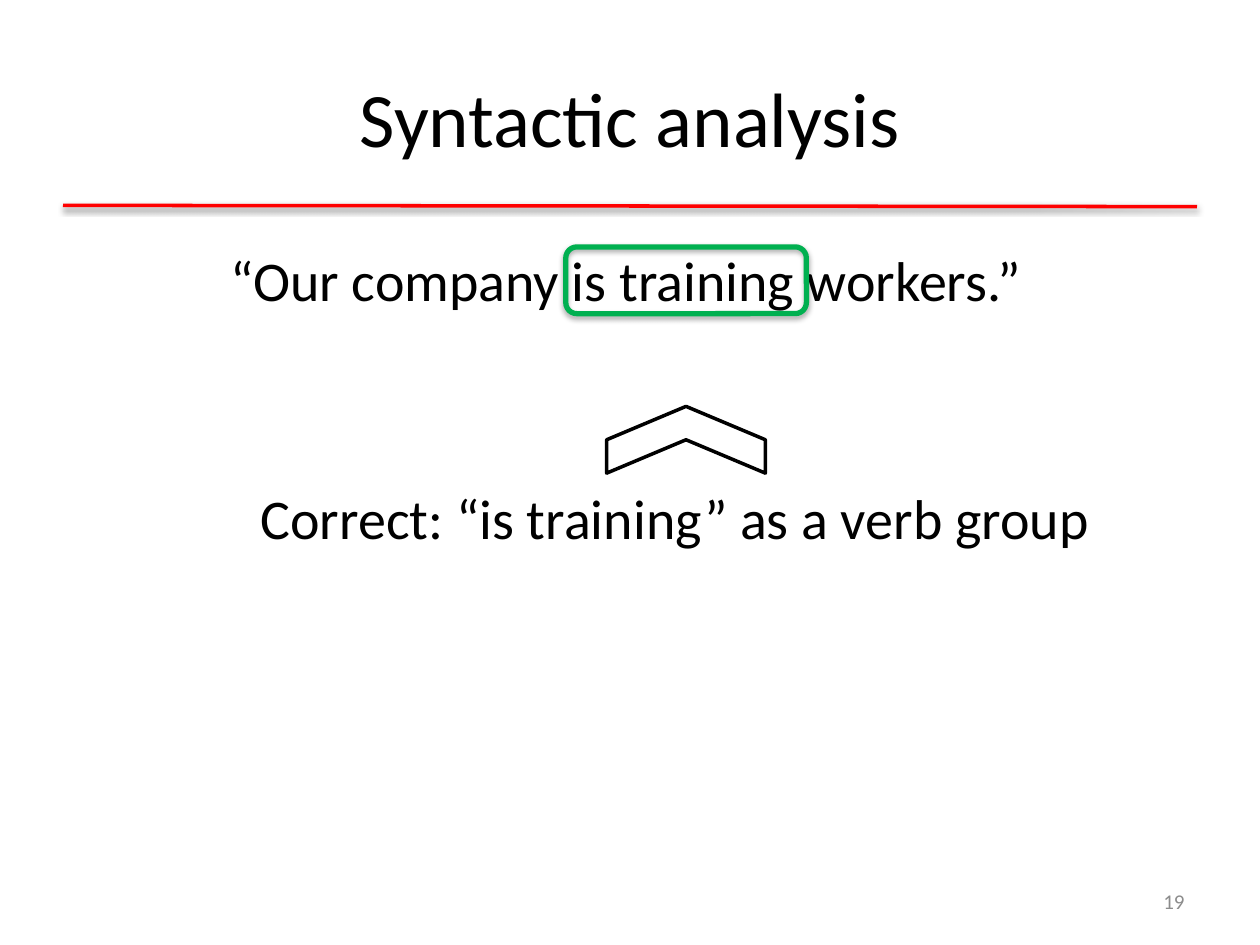
from dataclasses import dataclass
from typing import Any

import lxml.etree
import pptx
import pptx.dml.color
import pptx.enum.shapes
import pptx.enum.text
import pptx.oxml.ns
import pptx.util

Inches = pptx.util.Inches
ALIGN = pptx.enum.text.PP_ALIGN
ANCHOR = pptx.enum.text.MSO_ANCHOR
SHAPE = pptx.enum.shapes.MSO_SHAPE
COLORS = {"black": "000000", "white": "FFFFFF", "gray": "8C8C8C", "red": "FF0000", "green": "00B050"}


@dataclass
class Label:
    text: str
    box: tuple[float, float, float, float]
    size: int
    color: str = "black"
    align: Any = ALIGN.LEFT
    anchor: Any = ANCHOR.TOP
    wrap: bool = False


@dataclass
class Outline:
    kind: Any
    box: tuple[float, float, float, float]
    color: str
    width: float
    fill: str | None = None
    rotation: float = 0


TITLE = Label("Syntactic analysis", (0.5, 0.3, 9, 1.25), 44, align=ALIGN.CENTER, anchor=ANCHOR.MIDDLE, wrap=True)
LABELS = [
    Label("“Our company is training workers.”", (1.73, 1.9, 6.55, 0.64), 32),
    Label("Correct: “is training” as a verb group", (1.97, 3.79, 6.95, 0.64), 32),
    Label("19", (7.17, 6.95, 2.33, 0.4), 12, "gray", ALIGN.RIGHT, ANCHOR.MIDDLE, True),
]
VERB_FRAME = Outline(SHAPE.ROUNDED_RECTANGLE, (4.49, 1.96, 1.91, 0.53), "green", 3)
POINTER = Outline(SHAPE.CHEVRON, (5.18, 2.86, 0.53, 1.26), "black", 2, "white", 270)


def rgb(name: str) -> pptx.dml.color.RGBColor:
    return pptx.dml.color.RGBColor.from_string(COLORS[name])


def write_label(shape: Any, label: Label) -> None:
    frame = shape.text_frame
    frame.text = label.text
    frame_format = {
        "auto_size": pptx.enum.text.MSO_AUTO_SIZE.NONE if label.wrap else pptx.enum.text.MSO_AUTO_SIZE.SHAPE_TO_FIT_TEXT,
        "word_wrap": label.wrap,
        "vertical_anchor": label.anchor,
    }
    for name, value in frame_format.items():
        setattr(frame, name, value)
    paragraph = frame.paragraphs[0]
    paragraph.alignment = label.align
    font = paragraph.runs[0].font
    for name, value in {"name": "Calibri", "size": pptx.util.Pt(label.size)}.items():
        setattr(font, name, value)
    font.color.rgb = rgb(label.color)


def set_line(shape: Any, color: str, width: float) -> None:
    shape.line.color.rgb = rgb(color)
    shape.line.width = pptx.util.Pt(width)


def add_shadow(effects: Any, distance: float, opacity: int) -> None:
    qn = pptx.oxml.ns.qn
    shadow = lxml.etree.SubElement(
        effects, qn("a:outerShdw"), blurRad=str(pptx.util.Pt(3.15)), dist=str(pptx.util.Pt(distance)),
        dir="5400000", rotWithShape="0",
    )
    color = lxml.etree.SubElement(shadow, qn("a:srgbClr"), val=COLORS["black"])
    lxml.etree.SubElement(color, qn("a:alpha"), val=str(opacity * 1000))


def add_outline(slide: Any, outline: Outline) -> Any:
    shape = slide.shapes.add_shape(outline.kind, *map(Inches, outline.box))
    shape.shadow.inherit = False
    shape.rotation = outline.rotation
    if outline.fill:
        shape.fill.solid()
        shape.fill.fore_color.rgb = rgb(outline.fill)
    else:
        shape.fill.background()
    set_line(shape, outline.color, outline.width)
    return shape


def main() -> None:
    presentation = pptx.Presentation()
    presentation.slide_width, presentation.slide_height = Inches(10), Inches(7.5)
    slide = presentation.slides.add_slide(presentation.slide_layouts[5])

    title = slide.shapes.title
    for name, value in zip(("left", "top", "width", "height"), TITLE.box):
        setattr(title, name, Inches(value))
    write_label(title, TITLE)

    rule = slide.shapes.add_connector(
        pptx.enum.shapes.MSO_CONNECTOR.STRAIGHT, Inches(0.5), Inches(1.63), Inches(9.5), Inches(1.64)
    )
    set_line(rule, "red", 2)
    properties = rule._element.spPr
    add_shadow(lxml.etree.SubElement(properties, pptx.oxml.ns.qn("a:effectLst")), 1.6, 38)

    for label in LABELS:
        write_label(slide.shapes.add_textbox(*map(Inches, label.box)), label)

    frame = add_outline(slide, VERB_FRAME)
    add_shadow(frame._element.spPr.find(pptx.oxml.ns.qn("a:effectLst")), 1.8, 35)
    add_outline(slide, POINTER)

    presentation.save("out.pptx")


if __name__ == "__main__":
    main()
